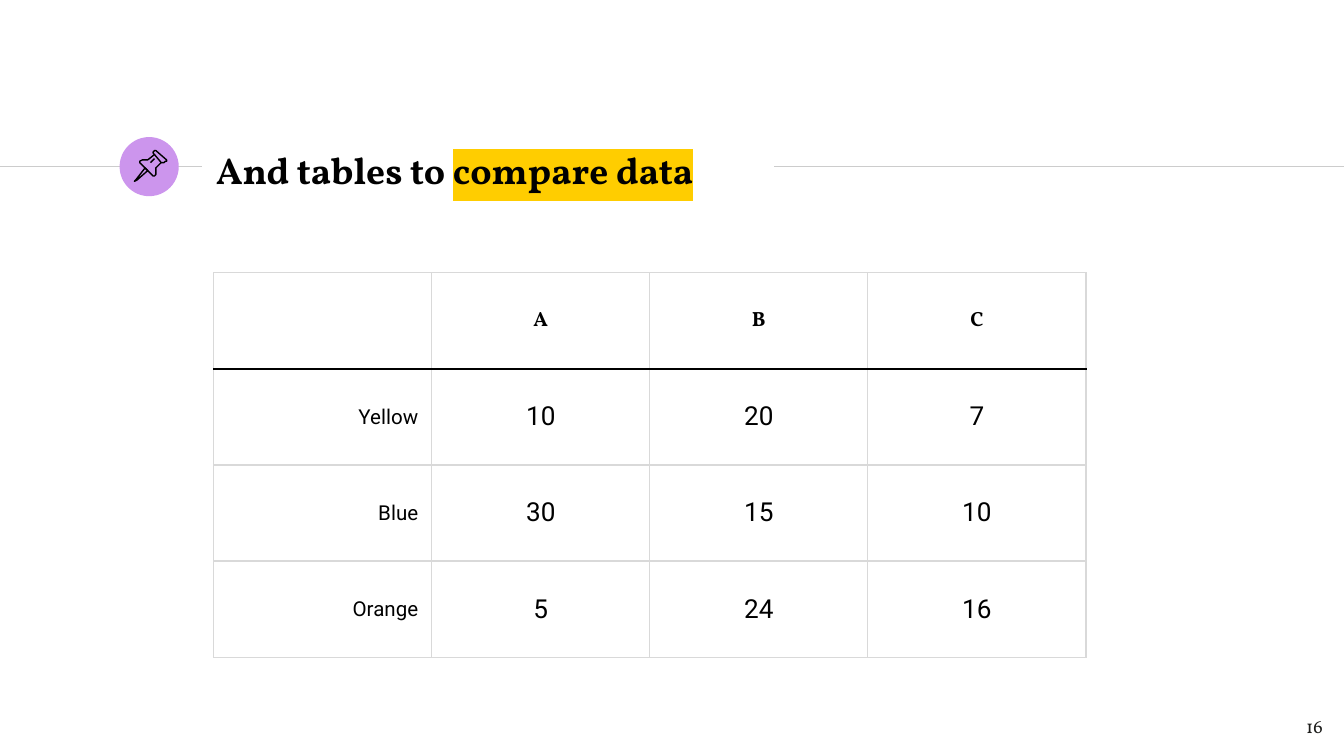
from lxml.etree import SubElement
from pptx import Presentation
from pptx.dml.color import RGBColor
from pptx.enum.shapes import MSO_CONNECTOR as Connector, MSO_SHAPE as Shape
from pptx.enum.text import MSO_ANCHOR as Anchor, PP_ALIGN as Align
from pptx.oxml import parse_xml
from pptx.oxml.ns import nsdecls, qn
from pptx.util import Inches, Pt

SERIF, SANS = "Vollkorn", "Roboto"
BLACK, RULE, BORDER = "000000", "CCCCCC", "D9D9D9"
LILAC, YELLOW, PAPER = "CC95ED", "FFCD00", "FFFFFF"

PIN_OUTLINES = [
    ([(19, 23), (12, 32), (11, 33), (13, 32), (21, 25)], True),
    ([(26, 13), (31, 19), (33, 19), (34, 18), (35, 18), (35, 17),
      (27, 10), (26, 10), (25, 11), (25, 12)], True),
    ([(26, 13), (21, 17), (20, 17), (17, 17), (15, 18), (15, 19),
      (25, 29), (26, 29), (27, 28), (27, 23), (31, 19)], False),
    ([(23, 19), (26, 16)], False),
]

COMPARISON = [
    ["", "A", "B", "C"],
    ["Yellow", "10", "20", "7"],
    ["Blue", "30", "15", "10"],
    ["Orange", "5", "24", "16"],
]


def color(value):
    """Turn a hex string into a colour."""
    return RGBColor.from_string(value)


def format_run(run, font, size, ink=BLACK, bold=False):
    """Set the typeface, size, colour and weight of a run."""
    run.font.name = font
    run.font.size = Pt(size)
    run.font.bold = bold
    run.font.color.rgb = color(ink)


def highlight(run, value):
    """Put a marker colour behind a run."""
    marker = parse_xml(f'<a:highlight {nsdecls("a")}><a:srgbClr val="{value}"/></a:highlight>')
    run.font._element.find(qn("a:solidFill")).addnext(marker)


def add_text_frame(slide, left, top, width, height):
    """Add a wrapping, vertically centred text box and return its frame."""
    box = slide.shapes.add_textbox(Inches(left), Inches(top), Inches(width), Inches(height))
    frame = box.text_frame
    frame.word_wrap = True
    frame.vertical_anchor = Anchor.MIDDLE
    frame.margin_left = frame.margin_right = Inches(0.1)
    frame.margin_top = frame.margin_bottom = Inches(0.1)
    return frame


def add_rule(slide, start, end, y):
    """Draw a thin horizontal rule."""
    rule = slide.shapes.add_connector(
        Connector.STRAIGHT, Inches(start), Inches(y), Inches(end), Inches(y))
    rule.line.color.rgb = color(RULE)
    rule.line.width = Pt(0.75)
    SubElement(rule._element.spPr, qn("a:effectLst"))


def add_badge(slide, left, top, size):
    """Draw the round badge."""
    badge = slide.shapes.add_shape(
        Shape.OVAL, Inches(left), Inches(top), Inches(size), Inches(size))
    badge.shadow.inherit = False
    badge.fill.solid()
    badge.fill.fore_color.rgb = color(LILAC)
    badge.line.fill.background()


def add_pin(slide, left, top):
    """Draw the pushpin from outlines in hundredths of an inch."""
    for points, closed in PIN_OUTLINES:
        builder = slide.shapes.build_freeform(*points[0], scale=Inches(0.01))
        builder.add_line_segments(points[1:], close=closed)
        stroke = builder.convert_to_shape(Inches(left), Inches(top))
        stroke.shadow.inherit = False
        stroke.fill.background()
        stroke.line.color.rgb = color(BLACK)
        stroke.line.width = Pt(0.75)


def add_heading(slide, left, top, width, height):
    """Place the title between its two rules, with the badge on the left one."""
    middle = top + 0.22
    badge_left = left - 0.62
    add_rule(slide, 0, left - 0.01, middle)
    add_badge(slide, badge_left, top, 0.44)
    add_rule(slide, left + width + 0.01, 10, middle)
    add_pin(slide, badge_left, top)
    title = add_text_frame(slide, left, top, width, height).paragraphs[0]
    for words in ("And tables to ", "compare data"):
        run = title.add_run()
        run.text = words
        format_run(run, SERIF, 20, bold=True)
    highlight(title.runs[-1], YELLOW)


def set_borders(cell, top, bottom):
    """Outline a cell, with its own colours for the top and bottom edges."""
    properties = cell._tc.get_or_add_tcPr()
    edges = {"lnL": BORDER, "lnR": BORDER, "lnT": top, "lnB": bottom}
    for position, (edge, value) in enumerate(edges.items()):
        properties.insert(position, parse_xml(
            f'<a:{edge} {nsdecls("a")} w="{Pt(0.75)}"><a:solidFill>'
            f'<a:srgbClr val="{value}"/></a:solidFill></a:{edge}>'))


def add_comparison(slide, left, top, width, height):
    """Fill the comparison table."""
    row_count, column_count = len(COMPARISON), len(COMPARISON[0])
    table = slide.shapes.add_table(
        row_count, column_count,
        Inches(left), Inches(top), Inches(width), Inches(height)).table
    table.first_row = table.horz_banding = False
    for r, values in enumerate(COMPARISON):
        for c, value in enumerate(values):
            cell = table.cell(r, c)
            cell.fill.solid()
            cell.fill.fore_color.rgb = color(PAPER)
            cell.vertical_anchor = Anchor.MIDDLE
            cell.margin_left = cell.margin_right = Inches(0.1)
            cell.margin_top = cell.margin_bottom = Inches(0.07)
            set_borders(cell, BLACK if r == 1 else BORDER, BLACK if r == 0 else BORDER)
            entry = cell.text_frame.paragraphs[0]
            entry.text = value
            entry.alignment = Align.RIGHT if c == 0 else Align.CENTER
            for run in entry.runs:
                format_run(run, SERIF if r == 0 else SANS,
                           14 if r and c else 11, bold=r == 0)


def add_page_number(slide, left, top, width, height):
    """Place the page number."""
    number = add_text_frame(slide, left, top, width, height).paragraphs[0]
    number.text = "16"
    number.alignment = Align.RIGHT
    format_run(number.runs[0], SERIF, 10, "1D1D1B")


def main():
    """Build and save the slide."""
    deck = Presentation()
    deck.slide_width = Inches(10)
    deck.slide_height = deck.slide_width * 9 // 16
    slide = deck.slides.add_slide(deck.slide_layouts[6])
    add_heading(slide, 1.51, 1.02, 4.24, 0.48)
    add_page_number(slide, 9.34, 5.19, 0.6, 0.43)
    add_comparison(slide, 1.59, 2.03, 6.49, 2.86)
    deck.save("out.pptx")


if __name__ == "__main__":
    main()
